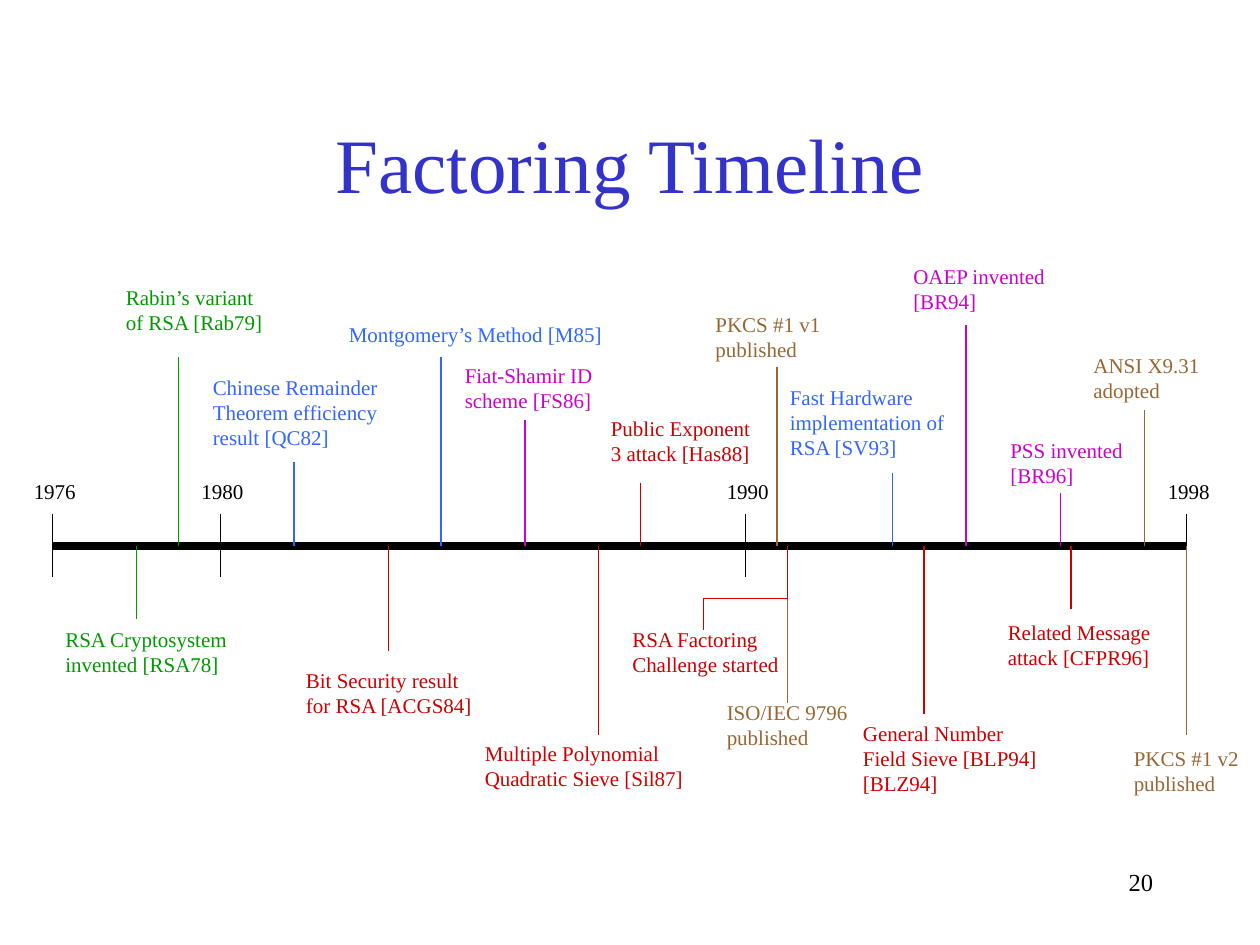
from pptx import Presentation
from pptx.dml.color import RGBColor
from pptx.enum.shapes import MSO_CONNECTOR
from pptx.enum.text import MSO_ANCHOR, MSO_AUTO_SIZE, PP_ALIGN
from pptx.oxml.ns import qn
from pptx.util import Inches, Pt
from lxml.etree import SubElement

FONT = "Times New Roman"
COLORS = {
    "black": "000000",
    "title": "3333CC",
    "green": "009900",
    "blue": "3366FF",
    "red": "CC0000",
    "magenta": "CC00CC",
    "brown": "996633",
}

AXIS_Y, AXIS_START, AXIS_END = 4.33, 0.42, 9.42
TICK = 0.25
LINE_HEIGHT, INSETS = 0.2, 0.1
BRANCH_X, BRANCH_Y, BRANCH_LEFT = 6.25, 4.75, 5.58

YEARS = [("1976", AXIS_START), ("1980", 1.75), ("1990", 5.92), ("1998", AXIS_END)]

# color, stem x, stem start y, stem end y
STEMS = [
    ("green", 1.08, AXIS_Y, 4.92),
    ("green", 1.42, AXIS_Y, 2.83),
    ("blue", 7.08, AXIS_Y, 3.75),
    ("blue", 2.33, AXIS_Y, 3.67),
    ("blue", 3.5, AXIS_Y, 2.83),
    ("red", 4.75, AXIS_Y, 5.83),
    ("red", 7.33, AXIS_Y, 5.67),
    ("red", BRANCH_X, AXIS_Y, BRANCH_Y),
    ("red", 5.08, AXIS_Y, 3.83),
    ("red", 8.5, AXIS_Y, 4.83),
    ("red", 3.08, AXIS_Y, 5.17),
    ("red", BRANCH_LEFT, BRANCH_Y, 5),
    ("magenta", 7.67, AXIS_Y, 2.58),
    ("magenta", 8.42, AXIS_Y, 3.92),
    ("magenta", 4.17, AXIS_Y, 3.33),
    ("brown", 9.08, AXIS_Y, 3.25),
    ("brown", AXIS_END, AXIS_Y, 5.83),
    ("brown", 6.17, AXIS_Y, 2.92),
    ("brown", BRANCH_X, BRANCH_Y, 5.58),
]

# color, left, top, width, text
LABELS = [
    ("green", 0.42, 4.92, 1.49, "RSA Cryptosystem\ninvented [RSA78]"),
    ("green", 0.9, 2.21, 1.29, "Rabin’s variant\nof RSA [Rab79]"),
    ("blue", 6.17, 3, 1.42, "Fast Hardware\nimplementation of\nRSA [SV93]"),
    ("blue", 1.59, 2.92, 1.51,
     "Chinese Remainder\nTheorem efficiency\nresult [QC82]"),
    ("blue", 2.67, 2.5, 2.22, "Montgomery’s Method [M85]"),
    ("red", 3.75, 5.83, 1.77, "Multiple Polynomial\nQuadratic Sieve [Sil87]"),
    ("red", 6.75, 5.67, 1.58, "General Number\nField Sieve [BLP94]\n[BLZ94]"),
    ("red", 4.92, 4.92, 1.36, "RSA Factoring\nChallenge started"),
    ("red", 7.9, 4.87, 1.33, "Related Message\nattack [CFPR96]"),
    ("red", 2.33, 5.25, 1.52, "Bit Security result\nfor RSA [ACGS84]"),
    ("red", 4.75, 3.25, 1.3, "Public Exponent\n3 attack [Has88]"),
    ("magenta", 7.15, 2.04, 1.25, "OAEP invented\n[BR94]"),
    ("magenta", 7.92, 3.42, 1.09, "PSS invented\n[BR96]"),
    ("magenta", 3.59, 2.83, 1.21, "Fiat-Shamir ID\nscheme [FS86]"),
    ("brown", 8.58, 2.75, 1.04, "ANSI X9.31\nadopted"),
    ("brown", 8.9, 5.87, 1.03, "PKCS #1 v2\npublished"),
    ("brown", 5.58, 2.42, 1.03, "PKCS #1 v1\npublished"),
    ("brown", 5.67, 5.5, 1.16, "ISO/IEC 9796\npublished"),
]


def color_of(name):
    return RGBColor.from_string(COLORS[name])


def snap(inches):
    """Return the length on the grid of twelfths of an inch."""
    return Inches(round(inches * 12) / 12)


def format_text(tf, size, color, align=PP_ALIGN.LEFT):
    for p in tf.paragraphs:
        p.alignment = align
        for r in p.runs:
            r.font.name = FONT
            r.font.size = Pt(size)
            r.font.color.rgb = color_of(color)


def add_title(slide, text):
    sp = slide.shapes.title
    sp.left, sp.top = Inches(0.75), Inches(0.67)
    sp.width, sp.height = Inches(8.5), Inches(1.25)
    tf = sp.text_frame
    tf.text = text
    tf.auto_size = MSO_AUTO_SIZE.NONE
    tf.vertical_anchor = MSO_ANCHOR.MIDDLE
    format_text(tf, 44, "title", PP_ALIGN.CENTER)


def add_line(slide, x1, y1, x2, y2, color, width=1):
    line = slide.shapes.add_connector(
        MSO_CONNECTOR.STRAIGHT, snap(x1), snap(y1), snap(x2), snap(y2))
    line.line.color.rgb = color_of(color)
    line.line.width = Pt(width)
    SubElement(line._element.spPr, qn("a:effectLst"))


def add_text(slide, left, top, width, height, text):
    sp = slide.shapes.add_textbox(
        Inches(left), Inches(top), Inches(width), Inches(height))
    tf = sp.text_frame
    tf.text = text
    tf.word_wrap = True
    tf.auto_size = MSO_AUTO_SIZE.NONE
    return tf


def add_label(slide, color, left, top, width, text):
    """Add a label whose lines may run up to the right edge of its box."""
    height = INSETS + LINE_HEIGHT * len(text.split("\n"))
    tf = add_text(slide, left, top, width, height, text)
    tf.margin_right = 0
    format_text(tf, 12, color)


def add_page_number(slide, text):
    tf = add_text(slide, 7.17, 6.83, 2.08, 0.5, text)
    format_text(tf, 14, "black", PP_ALIGN.RIGHT)


def main():
    prs = Presentation()
    prs.slide_width, prs.slide_height = Inches(10), Inches(7.5)
    slide = prs.slides.add_slide(prs.slide_layouts.get_by_name("Title Only"))

    add_title(slide, "Factoring Timeline")
    add_line(slide, AXIS_START, AXIS_Y, AXIS_END, AXIS_Y, "black", 4.5)
    for year, x in YEARS:
        add_line(slide, x, AXIS_Y - TICK, x, AXIS_Y + TICK, "black")
        add_label(slide, "black", x - 0.25, 3.75, 0.53, year)
    for color, x, start, end in STEMS:
        add_line(slide, x, start, x, end, color)
    add_line(slide, BRANCH_X, BRANCH_Y, BRANCH_LEFT, BRANCH_Y, "red")
    for label in LABELS:
        add_label(slide, *label)
    add_page_number(slide, "20")

    prs.save("out.pptx")


if __name__ == "__main__":
    main()
